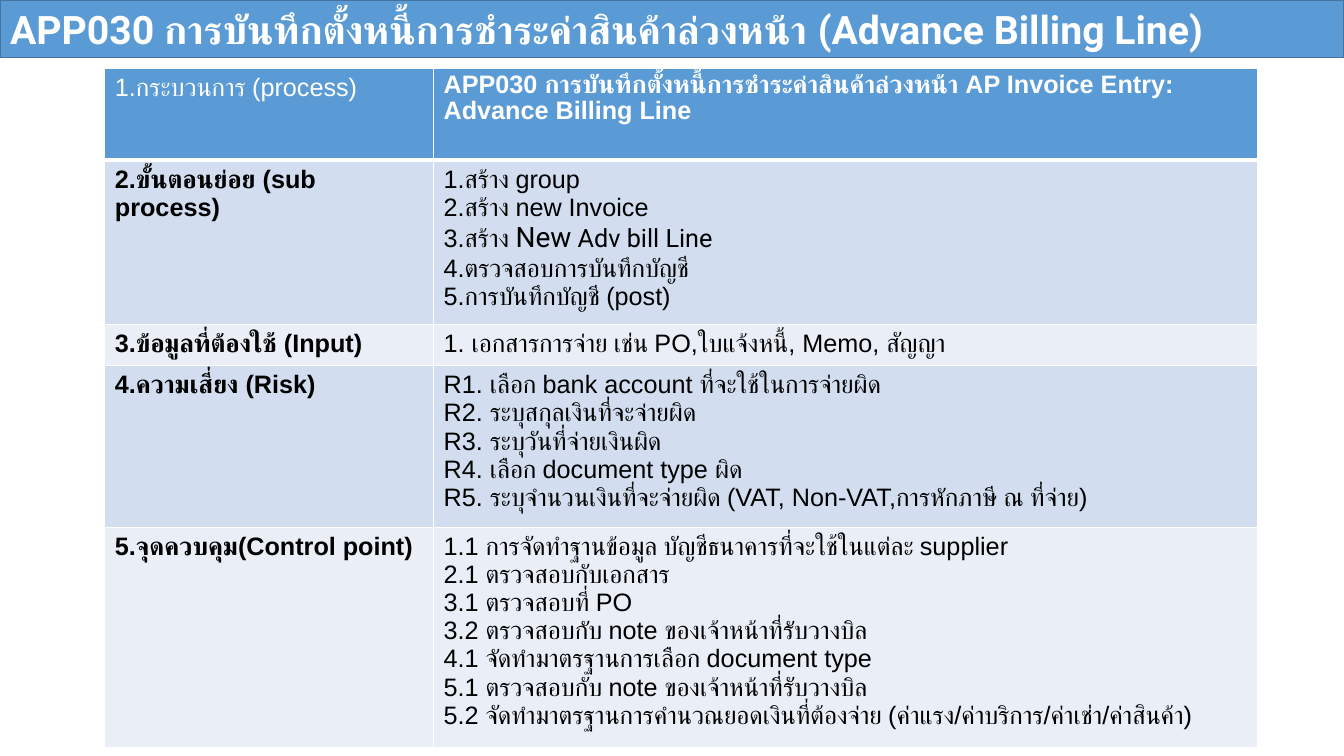
from dataclasses import dataclass

from lxml import etree
from pptx import Presentation
from pptx.dml.color import RGBColor
from pptx.enum import text as t
from pptx.oxml import ns
from pptx.util import Inches, Pt


@dataclass(frozen=True)
class Theme:
    blue: str = "5B9BD5"
    edge: str = "43739E"
    bands: tuple = ("EAEFF7", "D2DEEF")
    white: str = "FFFFFF"
    black: str = "000000"
    sans: str = "Arial"
    head: str = "Roboto"
    title: int = 28
    large: int = 20
    body: int = 18


THEME = Theme()
TITLE = "APP030 การบันทึกตั้งหนี้การชำระค่าสินค้าล่วงหน้า (Advance Billing Line)"
# Each row: height, label, lines; a line is a string or a list of (text, format)
ROWS = [
    (0.91, "1.กระบวนการ (process)", [
        "APP030 การบันทึกตั้งหนี้การชำระค่าสินค้าล่วงหน้า AP Invoice Entry: "
        "Advance Billing Line"]),
    (1.63, "2.ขั้นตอนย่อย (sub process)", [
        "1.สร้าง group",
        "2.สร้าง new Invoice",
        [("3.สร้าง ", {}),
         ("New", {"font": THEME.head, "size": THEME.large}),
         (" Adv bill Line", {"font": THEME.head})],
        "4.ตรวจสอบการบันทึกบัญชี",
        "5.การบันทึกบัญชี (post)"]),
    (0.41, "3.ข้อมูลที่ต้องใช้ (Input)", [
        "1. เอกสารการจ่าย เช่น PO,ใบแจ้งหนี้, Memo, สัญญา"]),
    (1.6, "4.ความเสี่ยง (Risk)", [
        "R1. เลือก bank account ที่จะใช้ในการจ่ายผิด",
        "R2. ระบุสกุลเงินที่จะจ่ายผิด",
        "R3. ระบุวันที่จ่ายเงินผิด",
        "R4. เลือก document type ผิด",
        "R5. ระบุจำนวนเงินที่จะจ่ายผิด (VAT, Non-VAT,การหักภาษี ณ ที่จ่าย)"]),
    (2.19, "5.จุดควบคุม(Control point)", [
        "1.1 การจัดทำฐานข้อมูล บัญชีธนาคารที่จะใช้ในแต่ละ supplier",
        "2.1 ตรวจสอบกับเอกสาร",
        "3.1 ตรวจสอบที่ PO",
        "3.2 ตรวจสอบกับ note ของเจ้าหน้าที่รับวางบิล",
        "4.1 จัดทำมาตรฐานการเลือก document type",
        "5.1 ตรวจสอบกับ note ของเจ้าหน้าที่รับวางบิล",
        "5.2 จัดทำมาตรฐานการคำนวณยอดเงินที่ต้องจ่าย "
        "(ค่าแรง/ค่าบริการ/ค่าเช่า/ค่าสินค้า)"]),
]


def color(code):
    return RGBColor.from_string(code)


def write(frame, lines, gap=None, **base):
    """Fill a text frame, one paragraph a line; base formats every run."""
    frame.word_wrap = True
    for i, line in enumerate(lines):
        para = frame.paragraphs[0] if i == 0 else frame.add_paragraph()
        para.alignment = t.PP_ALIGN.LEFT
        if gap:
            para.line_spacing = gap
        for words, extra in [(line, {})] if isinstance(line, str) else line:
            look = {"font": THEME.sans, "size": THEME.body,
                    "ink": THEME.black, "bold": False, **base, **extra}
            run = para.add_run()
            run.text = words
            run.font.name = look["font"]
            run.font.size = Pt(look["size"])
            run.font.bold = look["bold"]
            run.font.color.rgb = color(look["ink"])


def paint(cell, fill, base):
    """Give a cell white borders, the lower one base points wide, and a fill."""
    props = cell._tc.get_or_add_tcPr()
    for side, width in zip("LRTB", (1, 1, 1, base)):
        line = etree.SubElement(props, ns.qn("a:ln" + side), w=str(Pt(width)))
        solid = etree.SubElement(line, ns.qn("a:solidFill"))
        etree.SubElement(solid, ns.qn("a:srgbClr"), val=THEME.white)
    cell.fill.solid()
    cell.fill.fore_color.rgb = color(fill)


def banner(slide, left, top, width, height):
    bar = slide.shapes.title
    bar.left, bar.top = Inches(left), Inches(top)
    bar.width, bar.height = Inches(width), Inches(height)
    bar.fill.solid()
    bar.fill.fore_color.rgb = color(THEME.blue)
    bar.line.color.rgb = color(THEME.edge)
    bar.line.width = Pt(1)
    frame = bar.text_frame
    frame.auto_size = t.MSO_AUTO_SIZE.NONE
    frame.vertical_anchor = t.MSO_ANCHOR.MIDDLE
    write(frame, [TITLE], font=THEME.head, size=THEME.title,
          ink=THEME.white, bold=True)


def grid(slide, left, top, width, split):
    """Place the process table; split is the width of its label column."""
    tall = sum(row[0] for row in ROWS)
    table = slide.shapes.add_table(len(ROWS), 2, Inches(left), Inches(top),
                                   Inches(width), Inches(tall)).table
    table.columns[0].width = Inches(split)
    table.columns[1].width = Inches(width - split)
    for i, (height, label, lines) in enumerate(ROWS):
        table.rows[i].height = Inches(height)
        first = i == 0
        ink = THEME.white if first else THEME.black
        fill = THEME.blue if first else THEME.bands[i % 2]
        name, info = table.cell(i, 0), table.cell(i, 1)
        for cell in (name, info):
            paint(cell, fill, 3 if first else 1)
        write(name.text_frame, [label], ink=ink, bold=not first)
        write(info.text_frame, lines, gap=0.9 if first else None,
              ink=ink, bold=first)


def main():
    deck = Presentation()
    deck.slide_width, deck.slide_height = Inches(13.33), Inches(7.5)
    slide = deck.slides.add_slide(deck.slide_layouts[5])
    banner(slide, 0, 0, 13.33, 0.57)
    grid(slide, 1.04, 0.68, 11.43, 3.26)
    deck.save("out.pptx")


if __name__ == "__main__":
    main()
